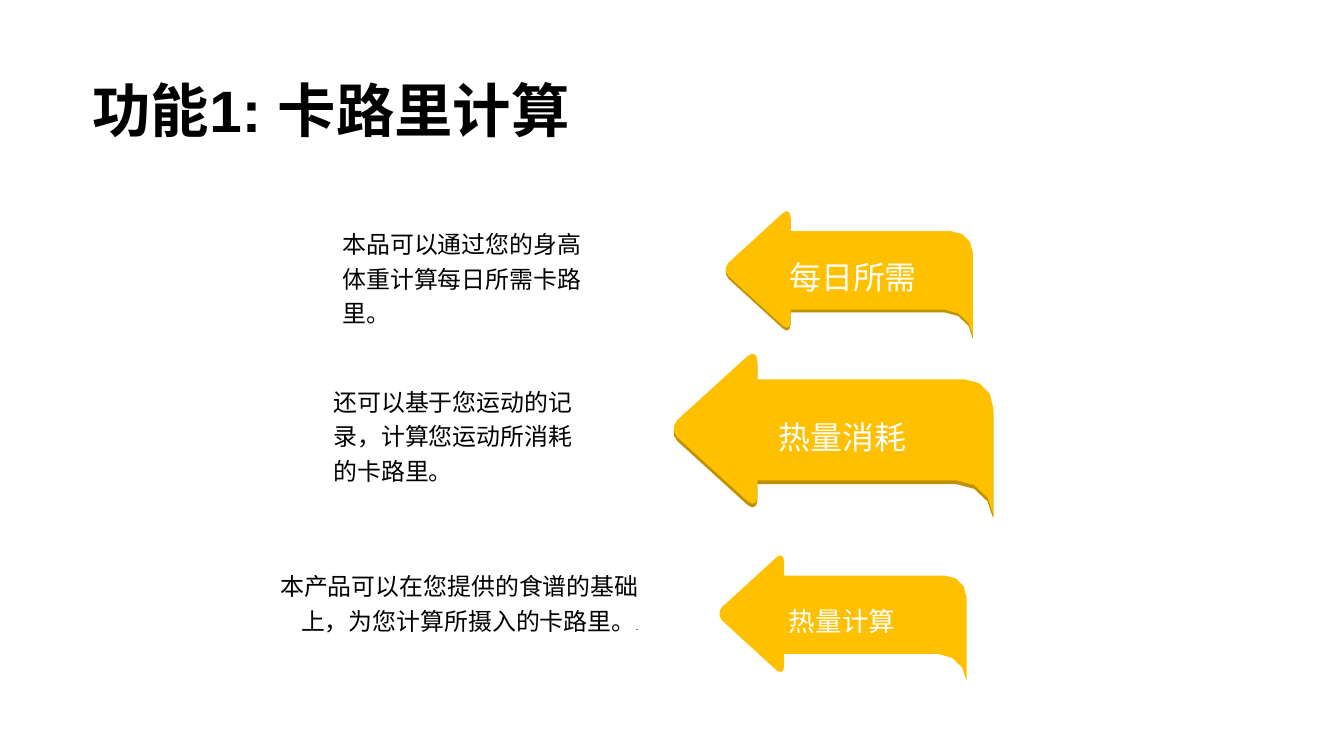
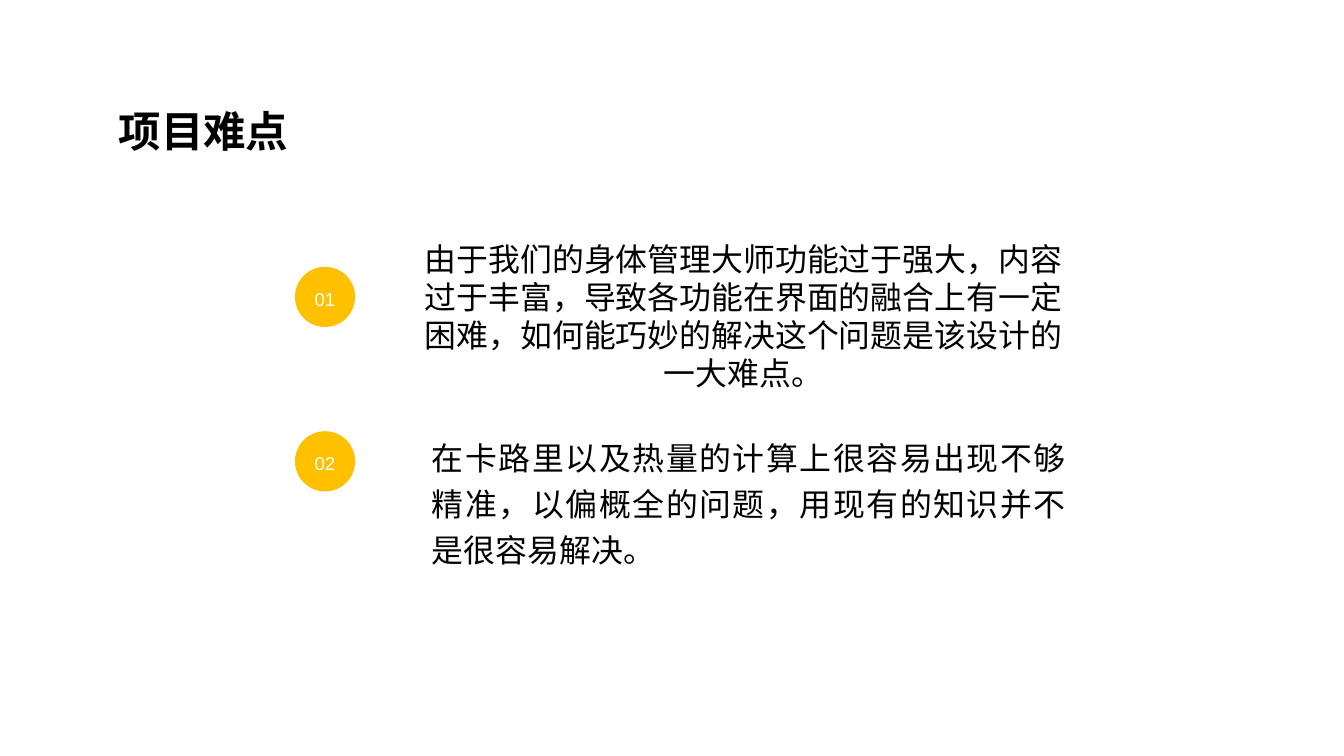
from pptx import Presentation
from pptx.dml.color import RGBColor
from pptx.enum.shapes import MSO_SHAPE
from pptx.enum.text import MSO_ANCHOR, PP_ALIGN
from pptx.util import Cm, Pt

COLOURS = {"ink": "000000", "paper": "FFFFFF", "gold": "FFC000", "bronze": "BF9000"}
FONT = "Arial"
TITLE_ONLY = 5
CURVE_STEPS = 3

ARROW_GRID = (2.6, 1.33)
ARROW_START = (2.6, 0.46)
ARROW_PIECES = [
    [(2.6, 0.33), (2.5, 0.23), (2.37, 0.23)],
    [(0.69, 0.23)],
    [(0.69, 0.08)],
    [(0.69, 0.02), (0.65, 0), (0.61, 0.04)],
    [(0.04, 0.56)],
    [(0, 0.6), (0, 0.66), (0.04, 0.7)],
    [(0.61, 1.22)],
    [(0.65, 1.26), (0.69, 1.24), (0.69, 1.18)],
    [(0.69, 1.05)],
    [(2.3, 1.05)],
    [(2.46, 1.05), (2.59, 1.18), (2.6, 1.33)],
]

FEATURES = [
    {
        "arrow": (19.26, 5.56, 6.6, 3.38), "depth": 0.07,
        "label": "每日所需", "label_box": (1.47, 0.95, 3.89, 1.47), "label_size": 24,
        "text": "本品可以通过您的身高体重计算每日所需卡路里。",
        "text_box": (8.74, 5.77, 7.26, 3.12), "align": PP_ALIGN.LEFT,
    },
    {
        "arrow": (17.87, 9.33, 8.53, 4.35), "depth": 0.1,
        "label": "热量消耗", "label_box": (2.58, 1.44, 3.89, 1.47), "label_size": 24,
        "text": "还可以基于您运动的记录，计算您运动所消耗的卡路里。",
        "text_box": (8.5, 9.96, 7.26, 3.12), "align": PP_ALIGN.LEFT,
    },
    {
        "arrow": (19.09, 14.71, 6.6, 3.38), "depth": 0,
        "label": "热量计算", "label_box": (1.63, 1.06, 3.33, 1.27), "label_size": 20,
        "text": "本产品可以在您提供的食谱的基础上，为您计算所摄入的卡路里。",
        "text_box": (6.94, 14.86, 10.39, 2.21), "align": PP_ALIGN.RIGHT, "mark": ".",
    },
]

DIFFICULTIES = [
    {
        "badge": (7.84, 7.09, 1.6, 1.6), "text_box": (11.17, 6.36, 17.17, 4.11),
        "text": "由于我们的身体管理大师功能过于强大，内容过于丰富，导致各功能在界面的融合上"
                "有一定困难，如何能巧妙的解决这个问题是该设计的一大难点。",
        "align": PP_ALIGN.CENTER, "spacing": 1.0,
    },
    {
        "badge": (7.84, 11.46, 1.6, 1.6), "text_box": (11.48, 11.46, 16.85, 3.68),
        "text": "在卡路里以及热量的计算上很容易出现不够精准，以偏概全的问题，"
                "用现有的知识并不是很容易解决。",
        "align": PP_ALIGN.JUSTIFY, "spacing": 1.2,
    },
]


def colour(name):
    """Return a named colour."""
    return RGBColor.from_string(COLOURS[name])


def style_span(span, size, ink="ink", bold=False):
    """Set the font of one run."""
    span.font.name = FONT
    span.font.size = Pt(size)
    span.font.bold = bold
    span.font.color.rgb = colour(ink)


def write(shape, text, size, ink="ink", bold=False, align=PP_ALIGN.LEFT,
          spacing=1.2, anchor=MSO_ANCHOR.TOP, margins=(0, 0), wrap=True):
    """Fill a shape with one formatted paragraph and return it."""
    frame = shape.text_frame
    frame.text = text
    frame.word_wrap = wrap
    frame.vertical_anchor = anchor
    frame.margin_left = frame.margin_right = Cm(margins[0])
    frame.margin_top = frame.margin_bottom = Cm(margins[1])
    para = frame.paragraphs[0]
    para.alignment = align
    para.line_spacing = spacing
    style_span(para.runs[0], size, ink, bold)
    return para


def paint(shape, name):
    """Give a shape a flat fill without line or shadow."""
    shape.shadow.inherit = False
    shape.fill.solid()
    shape.fill.fore_color.rgb = colour(name)
    shape.line.fill.background()


def add_text(page, box, text, size, **style):
    """Place a text box."""
    return write(page.shapes.add_textbox(*map(Cm, box)), text, size, **style)


def add_page(deck, title, box, size):
    """Add a slide with a bold title in the given box."""
    page = deck.slides.add_slide(deck.slide_layouts[TITLE_ONLY])
    holder = page.shapes.title
    holder.left, holder.top, holder.width, holder.height = map(Cm, box)
    write(holder, title, size, bold=True, spacing=1.0, anchor=MSO_ANCHOR.MIDDLE)
    return page


def bezier(points, t):
    """Return the point at t on a cubic curve."""
    a, b, c, d = points
    u = 1 - t
    return tuple(u**3 * a[i] + 3 * u * u * t * b[i] + 3 * u * t * t * c[i] + t**3 * d[i]
                 for i in (0, 1))


def arrow_outline():
    """Return the arrow's corners with its curves sampled."""
    points = [ARROW_START]
    for piece in ARROW_PIECES:
        if len(piece) == 1:
            points += piece
        else:
            curve = [points[-1], *piece]
            points += [bezier(curve, step / CURVE_STEPS) for step in range(1, CURVE_STEPS + 1)]
    return points


def add_arrow(page, box, fill):
    """Draw the curled arrow in a box."""
    left, top, width, height = box
    points = [(Cm(left + x / ARROW_GRID[0] * width), Cm(top + y / ARROW_GRID[1] * height))
              for x, y in arrow_outline()]
    builder = page.shapes.build_freeform(*points[0], scale=1.0)
    builder.add_line_segments(points[1:], close=True)
    paint(builder.convert_to_shape(), fill)


def add_feature(page, feature):
    """Place one labelled arrow and its explanation."""
    left, top, width, height = feature["arrow"]
    if feature["depth"]:
        add_arrow(page, (left, top + feature["depth"], width, height), "bronze")
    add_arrow(page, feature["arrow"], "gold")
    x, y, label_width, label_height = feature["label_box"]
    add_text(page, (left + x, top + y, label_width, label_height), feature["label"],
             feature["label_size"], ink="paper", align=PP_ALIGN.JUSTIFY,
             margins=(0.25, 0.13), wrap=False)
    para = add_text(page, feature["text_box"], feature["text"], 18, align=feature["align"],
                    anchor=MSO_ANCHOR.MIDDLE, margins=(0.36, 0.18))
    if "mark" in feature:
        span = para.add_run()
        span.text = feature["mark"]
        style_span(span, 8)


def add_difficulty(page, number, item):
    """Place one numbered badge and its paragraph."""
    badge = page.shapes.add_shape(MSO_SHAPE.OVAL, *map(Cm, item["badge"]))
    paint(badge, "gold")
    write(badge, f"{number:02d}", 14, ink="paper", align=PP_ALIGN.CENTER,
          anchor=MSO_ANCHOR.MIDDLE)
    add_text(page, item["text_box"], item["text"], 24, align=item["align"],
             spacing=item["spacing"])


def main():
    """Build and save the deck."""
    deck = Presentation()
    deck.slide_width, deck.slide_height = Cm(35.72), Cm(20.09)
    page = add_page(deck, "功能1: 卡路里计算", (2.46, 1.96, 14.78, 1.88), 44)
    for feature in FEATURES:
        add_feature(page, feature)
    page = add_page(deck, "项目难点", (3.15, 2.79, 7.8, 1.37), 32)
    for number, item in enumerate(DIFFICULTIES, 1):
        add_difficulty(page, number, item)
    deck.save("out.pptx")


if __name__ == "__main__":
    main()
